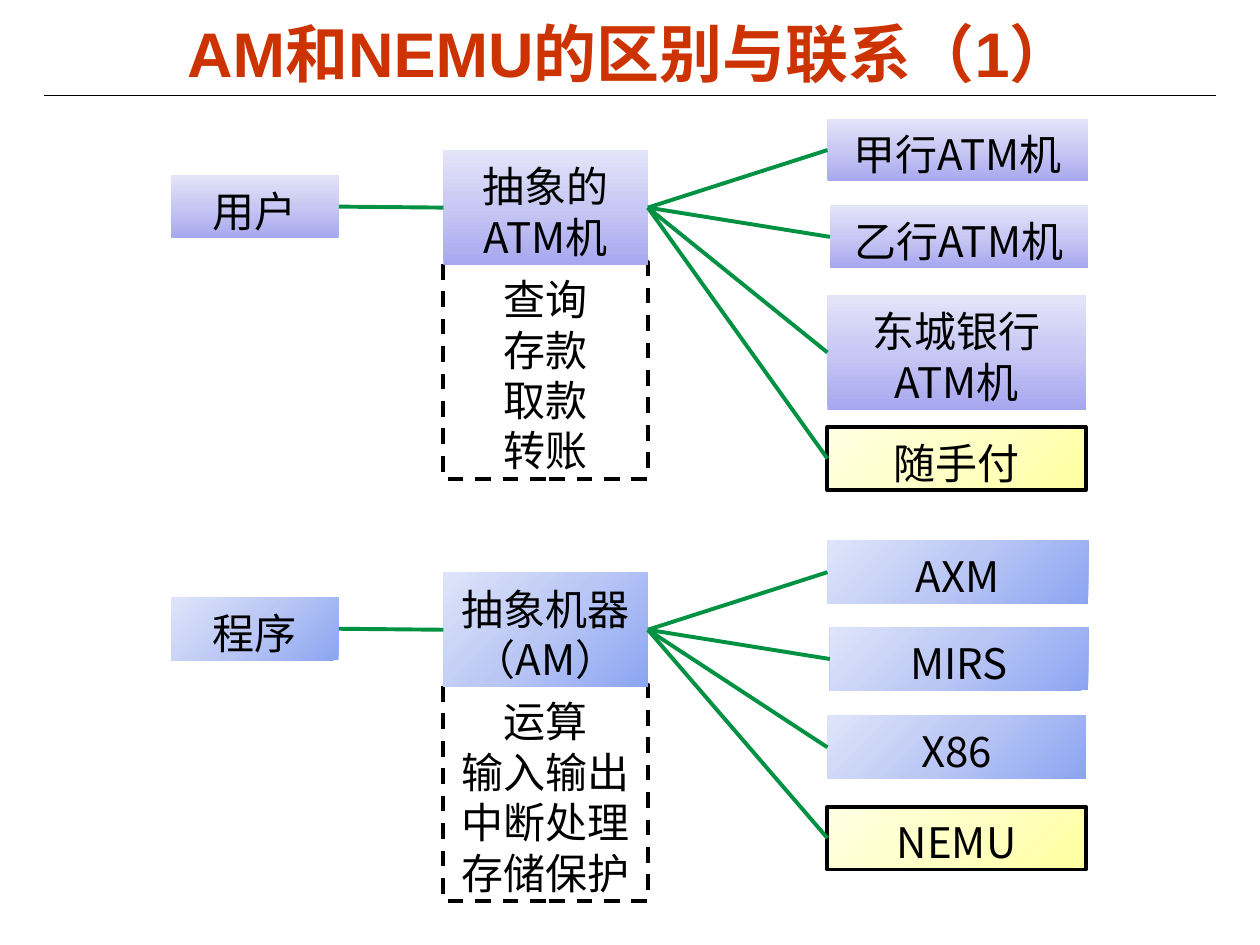
from copy import deepcopy

from pptx import Presentation
from pptx.dml.color import RGBColor
from pptx.enum.dml import MSO_LINE
from pptx.enum.shapes import MSO_CONNECTOR, MSO_SHAPE
from pptx.enum.text import MSO_ANCHOR, PP_ALIGN
from pptx.oxml.ns import qn
from pptx.util import Cm, Pt

STRAIGHT = MSO_CONNECTOR.STRAIGHT
RECTANGLE = MSO_SHAPE.RECTANGLE
DASH = MSO_LINE.DASH
MIDDLE = MSO_ANCHOR.MIDDLE
CENTER = PP_ALIGN.CENTER
LEFT_SIDE, RIGHT_SIDE = 1, 3

CJK_FONT = "Noto Sans CJK SC"
BLACK, GREEN, RED = "000000", "009242", "CC3300"
PURPLE = {"stops": ("A7A7F0", "C8C8F4", "E4E4F9"), "angle": 90}
BLUE = {"stops": ("8CA5F2", "BAC7F5", "DEE4F9"), "angle": 135}
YELLOW = {"stops": ("FFFFA0", "FFFFC5", "FFFFE3"), "angle": 135}
TITLE_FORMAT = {"name": "Arial", "size": Pt(36), "bold": True}
LABEL_FORMAT = {"name": CJK_FONT, "size": Pt(24)}
LABEL_FRAME = {"word_wrap": True, "vertical_anchor": MIDDLE,
               "margin_top": Cm(0.2), "margin_bottom": Cm(0.05)}
TITLE_FRAME = {"word_wrap": True, "vertical_anchor": MIDDLE,
               "margin_top": 0, "margin_bottom": 0}

TARGET_COLUMNS = ((13.23, 5.26), (13.28, 5.21), (13.23, 5.21), (13.23, 5.21))
BANK_PANEL = {
    "caller": "用户",
    "interface": "抽象的ATM机",
    "operations": "查询\n存款\n取款\n转账",
    "targets": (("甲行ATM机", 0, 1.27), ("乙行ATM机", 1.75, 1.27),
                ("东城银行ATM机", 3.56, 2.31), ("随手付", 6.22, 1.27)),
    "gradient": PURPLE,
}
MACHINE_PANEL = {
    "caller": "程序",
    "interface": "抽象机器（AM）",
    "operations": "运算\n输入输出\n中断处理\n存储保护",
    "targets": (("AXM", 0, 1.27), ("MIRS", 1.75, 1.27),
                ("X86", 3.53, 1.27), ("NEMU", 5.36, 1.27)),
    "gradient": BLUE,
}


def color(value):
    return RGBColor.from_string(value)


def set_values(target, values):
    for name, value in values.items():
        setattr(target, name, value)


def write_text(box, text, frame_format, font_format, font_color, spacing=None):
    frame = box.text_frame
    set_values(frame, frame_format)
    frame.text = text
    for para in frame.paragraphs:
        para.alignment = CENTER
        para.line_spacing = spacing
        for span in para.runs:
            set_values(span.font, font_format)
            span.font.color.rgb = color(font_color)
            properties = span.font._element
            east_asian = properties.makeelement(qn("a:ea"), {"typeface": CJK_FONT})
            properties.find(qn("a:latin")).addnext(east_asian)


def fill_gradient(box, gradient):
    box.fill.gradient()
    box.fill.gradient_angle = gradient["angle"]
    stop_list = box._element.spPr.find(".//" + qn("a:gsLst"))
    stop_list.insert(1, deepcopy(stop_list[0]))
    for index, stop in enumerate(box.fill.gradient_stops):
        stop.position = index / 2
        stop.color.rgb = color(gradient["stops"][index])


def add_box(page, left, top, width, height, text, gradient=None, outlined=False):
    box = page.shapes.add_shape(RECTANGLE, Cm(left), Cm(top), Cm(width), Cm(height))
    box.shadow.inherit = False
    if gradient:
        fill_gradient(box, gradient)
    else:
        box.fill.background()
    if outlined:
        box.line.color.rgb = color(BLACK)
        box.line.width = Pt(2.25)
    else:
        box.line.fill.background()
    write_text(box, text, LABEL_FRAME, LABEL_FORMAT, BLACK, Pt(28.8))
    return box


def add_line(page, line_color, width, left=0, top=0, right=0, bottom=0):
    line = page.shapes.add_connector(STRAIGHT, Cm(left), Cm(top), Cm(right), Cm(bottom))
    line.line.color.rgb = color(line_color)
    line.line.width = Pt(width)
    properties = line._element.spPr
    properties.append(properties.makeelement(qn("a:effectLst"), {}))
    return line


def join(page, start, end):
    line = add_line(page, GREEN, 2.25)
    line.begin_connect(start, RIGHT_SIDE)
    line.end_connect(end, LEFT_SIDE)


def add_title(page, left, top, width, height):
    title = page.shapes.add_textbox(Cm(left), Cm(top), Cm(width), Cm(height))
    write_text(title, "AM和NEMU的区别与联系（1）", TITLE_FRAME, TITLE_FORMAT, RED)
    add_line(page, BLACK, 0.75, left - 0.38, top + 1.65, left + width + 0.38, top + 1.65)


def add_panel(page, left, top, panel):
    gradient = panel["gradient"]
    caller = add_box(page, left, top + 1.14, 3.38, 1.27, panel["caller"], gradient)
    operations = add_box(page, left + 5.49, top + 2.9, 4.12, 4.37,
                         panel["operations"], outlined=True)
    operations.line.dash_style = DASH
    interface = add_box(page, left + 5.49, top + 0.64, 4.12, 2.31,
                        panel["interface"], gradient)
    targets = []
    last = len(panel["targets"]) - 1
    for index, (text, offset, height) in enumerate(panel["targets"]):
        column, width = TARGET_COLUMNS[index]
        is_last = index == last
        targets.append(add_box(page, left + column, top + offset, width, height, text,
                               YELLOW if is_last else gradient, is_last))
    join(page, caller, interface)
    for target in targets:
        join(page, interface, target)


def main():
    deck = Presentation()
    deck.slide_width, deck.slide_height = Cm(25.4), Cm(19.05)
    page = deck.slides.add_slide(deck.slide_layouts[6])
    add_title(page, 1.27, 0.28, 22.86, 1.55)
    add_panel(page, 3.45, 2.39, BANK_PANEL)
    add_panel(page, 3.45, 10.9, MACHINE_PANEL)
    deck.save("out.pptx")


if __name__ == "__main__":
    main()
